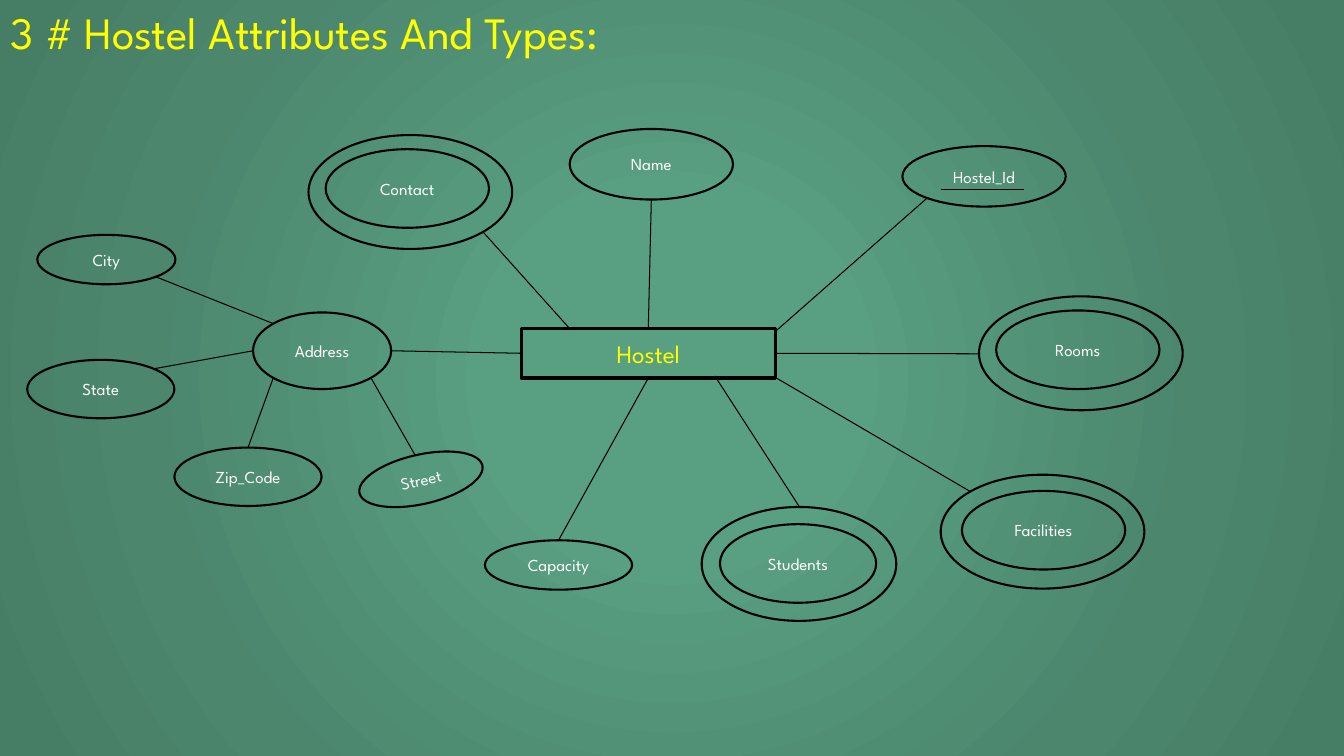
from lxml import etree
from pptx import Presentation
from pptx.dml.color import RGBColor
from pptx.enum.shapes import MSO_CONNECTOR, MSO_SHAPE
from pptx.enum.text import MSO_ANCHOR, MSO_AUTO_SIZE, PP_ALIGN
from pptx.oxml import parse_xml
from pptx.oxml.ns import nsdecls, qn
from pptx.util import Pt

PX = 9144  # EMU per px, 100 px to the inch
RECT, OVAL = MSO_SHAPE.RECTANGLE, MSO_SHAPE.OVAL
STRAIGHT = MSO_CONNECTOR.STRAIGHT
MIDDLE, CENTER = MSO_ANCHOR.MIDDLE, PP_ALIGN.CENTER
FIT_SHAPE = MSO_AUTO_SIZE.SHAPE_TO_FIT_TEXT
TOP, LEFT, BOTTOM, RIGHT = range(4)

THEME = {
    "font": "League Spartan",
    "accent": RGBColor(0xFF, 0xFF, 0x00),
    "label": RGBColor(0xFF, 0xFF, 0xFF),
    "ink": RGBColor(0x00, 0x00, 0x00),
    "backdrop": [(0, "599F81"), (23, "599F81"), (69, "4B866D"), (97, "467D65")],
    "title_size": 32, "entity_size": 18, "attribute_size": 12,
    "entity_line": 2.25, "attribute_line": 1.5, "link_line": 0.75,
}


def add_words(frame, words, size, color):
    run = frame.paragraphs[0].add_run()
    run.text = words
    run.font.name = THEME["font"]
    run.font.size = Pt(size)
    run.font.color.rgb = color


def add_outline(kind, box, weight, words="", size=0, color=None):
    outline = slide.shapes.add_shape(kind, *(v * PX for v in box))
    outline.shadow.inherit = False
    outline.fill.background()
    outline.line.color.rgb = THEME["ink"]
    outline.line.width = Pt(weight)
    if words:
        outline.text_frame.vertical_anchor = MIDDLE
        outline.text_frame.paragraphs[0].alignment = CENTER
        add_words(outline.text_frame, words, size, color)
    return outline


deck = Presentation()
deck.slide_width, deck.slide_height = 1333 * PX, 750 * PX
slide = deck.slides.add_slide(deck.slide_layouts[6])

# Radial backdrop
slide.background.fill.solid()
backdrop = slide.element.find(".//" + qn("p:bgPr"))
stops = "".join(f'<a:gs pos="{at * 1000}"><a:srgbClr val="{color}"/></a:gs>'
                for at, color in THEME["backdrop"])
backdrop.replace(backdrop[0], parse_xml(
    f'<a:gradFill {nsdecls("a")} rotWithShape="1"><a:gsLst>{stops}</a:gsLst>'
    '<a:path path="circle"><a:fillToRect l="50000" t="50000" r="50000" b="50000"/>'
    '</a:path></a:gradFill>'))

# Title
title = slide.shapes.add_textbox(1 * PX, 0, 739 * PX, 64 * PX)
title.text_frame.word_wrap = True
title.text_frame.auto_size = FIT_SHAPE
add_words(title.text_frame, "3 # Hostel Attributes And Types:",
          THEME["title_size"], THEME["accent"])

# Entity
hostel = add_outline(RECT, (517, 326, 252, 49), THEME["entity_line"],
                     "Hostel", THEME["entity_size"], THEME["accent"])

# Attributes: words, box, rotation
attributes = [
    ("Hostel_Id", (895, 145, 162, 60), 0),
    ("Name", (565, 128, 162, 70), 0),
    ("Capacity", (481, 536, 146, 49), 0),
    ("Address", (251, 310, 137, 76), 0),
    ("City", (37, 233, 137, 49), 0),
    ("State", (27, 357, 146, 58), 0),
    ("Zip_Code", (173, 444, 146, 58), 0),
    ("Street", (355, 451, 125, 49), -12.7),
    ("Contact", (323, 148, 162, 78), 0),
    ("Rooms", (988, 308, 162, 78), 0),
    ("Facilities", (954, 487, 162, 78), 0),
    ("Students", (714, 520, 155, 78), 0),
]
for words, box, turn in attributes:
    attribute = add_outline(OVAL, box, THEME["attribute_line"],
                            words, THEME["attribute_size"], THEME["label"])
    attribute.rotation = turn

# Outer rings of the multivalued attributes: Contact, Rooms, Facilities, Students
for left, top, width in [(306, 134, 202), (971, 294, 202), (933, 471, 202), (696, 503, 193)]:
    add_outline(OVAL, (left, top, width, 113), THEME["attribute_line"])

# Links: start, end, side of the entity that the end is joined to
links = [
    ((933, 188), (1016, 188), None),  # key underline
    ((919, 197), (770, 328), None),   # Hostel_Id
    ((963, 488), (770, 375), None),   # Facilities
    ((793, 503), (709, 373), None),   # Students
    ((479, 230), (565, 326), None),   # Contact
    ((646, 198), (643, 326), TOP),    # Name
    ((554, 536), (643, 375), BOTTOM), # Capacity
    ((388, 348), (517, 351), LEFT),   # Address
    ((971, 351), (769, 351), RIGHT),  # Rooms
    ((153, 274), (271, 321), None),   # City
    ((251, 348), (152, 366), None),   # State
    ((271, 375), (246, 444), None),   # Zip_Code
    ((412, 452), (368, 375), None),   # Street
]
for start, end, side in links:
    link = slide.shapes.add_connector(STRAIGHT, *(v * PX for v in start + end))
    link.line.color.rgb = THEME["ink"]
    link.line.width = Pt(THEME["link_line"])
    etree.SubElement(link.element.spPr, qn("a:effectLst"))
    if side is not None:
        link.end_connect(hostel, side)

deck.save("out.pptx")
